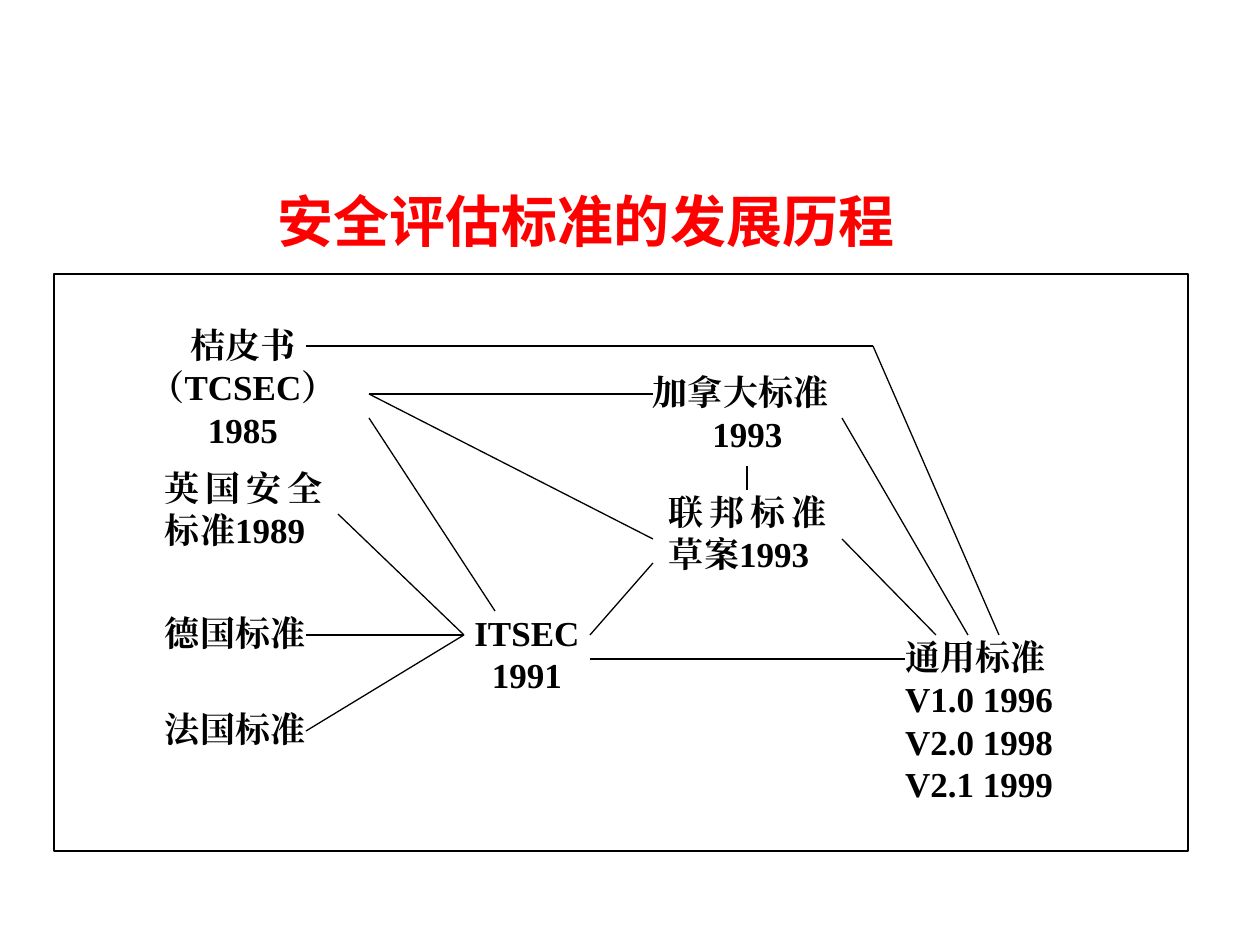
from dataclasses import dataclass

from lxml import etree
from pptx import Presentation
from pptx import util as u
from pptx.dml.color import RGBColor
from pptx.enum import shapes, text
from pptx.oxml.ns import qn

PX = u.Inches(1) / 126
CENTER, JUSTIFY = text.PP_ALIGN.CENTER, text.PP_ALIGN.JUSTIFY


@dataclass(frozen=True)
class Theme:
    ink: RGBColor = RGBColor(0, 0, 0)
    paper: RGBColor = RGBColor(255, 255, 255)
    title: RGBColor = RGBColor(255, 0, 0)
    title_font: str = "Noto Sans CJK SC"
    space_font: str = "Arial"
    label_font: str = "Times New Roman"
    title_size: u.Pt = u.Pt(32)
    space_size: u.Pt = u.Pt(40)
    label_size: u.Pt = u.Pt(20)
    label_leading: u.Pt = u.Pt(24.2)
    line_width: u.Pt = u.Pt(0.75)


@dataclass(frozen=True)
class Label:
    box: tuple[int, int, int, int]
    lines: tuple[str, ...]
    alignments: tuple[text.PP_ALIGN, ...]


@dataclass(frozen=True)
class Link:
    start: tuple[int, int]
    end: tuple[int, int]


THEME = Theme()
TITLE_BOX = (164, 165, 864, 100)
FRAME_BOX = (54, 274, 1134, 577)

LABELS = (
    Label((117, 323, 252, 96), ("桔皮书", "（TCSEC）1985"), (CENTER, CENTER)),
    Label((165, 466, 158, 96), ("英国安全标准1989",), (JUSTIFY,)),
    Label((165, 611, 158, 48), ("德国标准",), (JUSTIFY,)),
    Label((165, 707, 158, 48), ("法国标准",), (JUSTIFY,)),
    Label((653, 370, 189, 96), ("加拿大标准", "1993"), (JUSTIFY, CENTER)),
    Label((669, 490, 158, 96), ("联邦标准草案1993",), (JUSTIFY,)),
    Label((464, 611, 126, 96), ("ITSEC", "1991"), (CENTER, CENTER)),
    Label((905, 635, 220, 193),
          ("通用标准", "V1.0 1996", "V2.0 1998", "V2.1 1999"), (JUSTIFY,) * 4),
)

LINKS = (
    Link((369, 394), (653, 394)),
    Link((369, 394), (653, 539)),
    Link((369, 418), (495, 611)),
    Link((338, 514), (464, 635)),
    Link((306, 635), (464, 635)),
    Link((306, 731), (464, 635)),
    Link((306, 346), (873, 346)),
    Link((873, 346), (999, 635)),
    Link((747, 466), (747, 490)),
    Link((653, 563), (590, 635)),
    Link((590, 659), (905, 659)),
    Link((842, 539), (936, 635)),
    Link((842, 418), (968, 635)),
)


def emu(*lengths: int) -> list[u.Emu]:
    return [u.Emu(round(length * PX)) for length in lengths]


def set_east_asian_font(run, name: str) -> None:
    properties = run._r.get_or_add_rPr()
    etree.SubElement(properties, qn("a:ea")).set("typeface", name)


def draw_title(slide) -> None:
    title = slide.shapes.title
    title.left, title.top, title.width, title.height = emu(*TITLE_BOX)
    title.text_frame.vertical_anchor = text.MSO_ANCHOR.MIDDLE
    paragraph = title.text_frame.paragraphs[0]
    paragraph.alignment = CENTER
    pieces = (
        ("安全评估标准的发展历程", THEME.title_font, THEME.title_size, THEME.title, True),
        (" ", THEME.space_font, THEME.space_size, THEME.ink, False),
    )
    for words, font, size, color, bold in pieces:
        run = paragraph.add_run()
        run.text = words
        run.font.name, run.font.size, run.font.bold = font, size, bold
        run.font.color.rgb = color
        set_east_asian_font(run, font)


def draw_frame(slide) -> None:
    frame = slide.shapes.add_shape(shapes.MSO_SHAPE.RECTANGLE, *emu(*FRAME_BOX))
    frame.shadow.inherit = False
    frame.fill.solid()
    frame.fill.fore_color.rgb = THEME.paper
    frame.line.color.rgb = THEME.ink
    frame.line.width = THEME.line_width


def draw_label(slide, label: Label) -> None:
    frame = slide.shapes.add_textbox(*emu(*label.box)).text_frame
    frame.word_wrap = True
    frame.margin_left = frame.margin_top = frame.margin_right = frame.margin_bottom = 0
    frame.text = "\n".join(label.lines)
    for paragraph, alignment in zip(frame.paragraphs, label.alignments):
        paragraph.alignment = alignment
        paragraph.line_spacing = THEME.label_leading
        paragraph.font.name = THEME.label_font
        paragraph.font.size = THEME.label_size
        paragraph.font.bold = True
        paragraph.font.color.rgb = THEME.ink
        for run in paragraph.runs:
            set_east_asian_font(run, THEME.label_font)


def draw_link(slide, link: Link) -> None:
    connector = slide.shapes.add_connector(
        shapes.MSO_CONNECTOR.STRAIGHT, *emu(*link.start, *link.end))
    connector.line.color.rgb = THEME.ink
    connector.line.width = THEME.line_width
    etree.SubElement(connector._element.spPr, qn("a:effectLst"))


def main() -> None:
    presentation = Presentation()
    presentation.slide_width, presentation.slide_height = u.Inches(10), u.Inches(7.5)
    slide = presentation.slides.add_slide(presentation.slide_layouts[5])
    draw_title(slide)
    draw_frame(slide)
    for label in LABELS:
        draw_label(slide, label)
    for link in LINKS:
        draw_link(slide, link)
    presentation.save("out.pptx")


if __name__ == "__main__":
    main()
